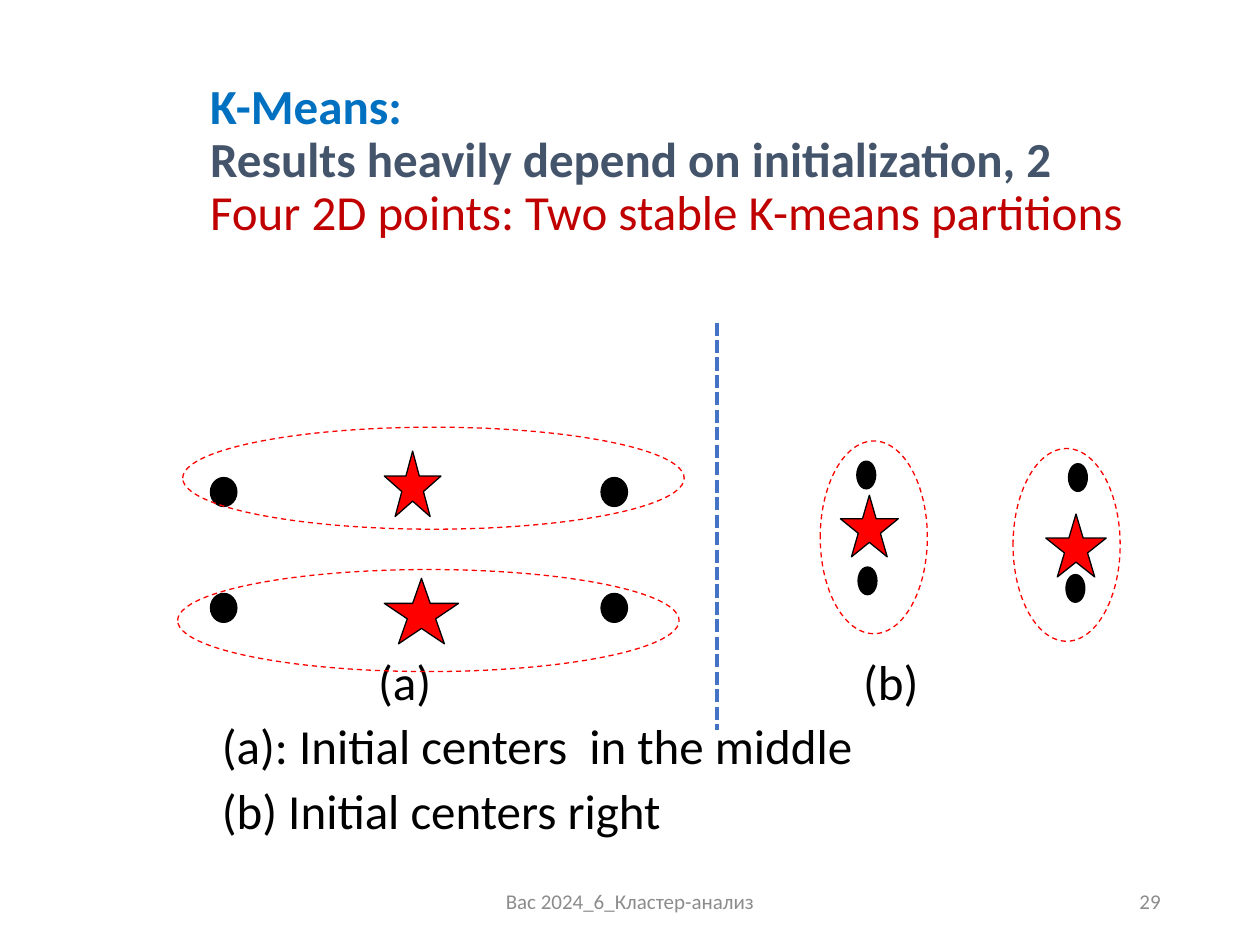
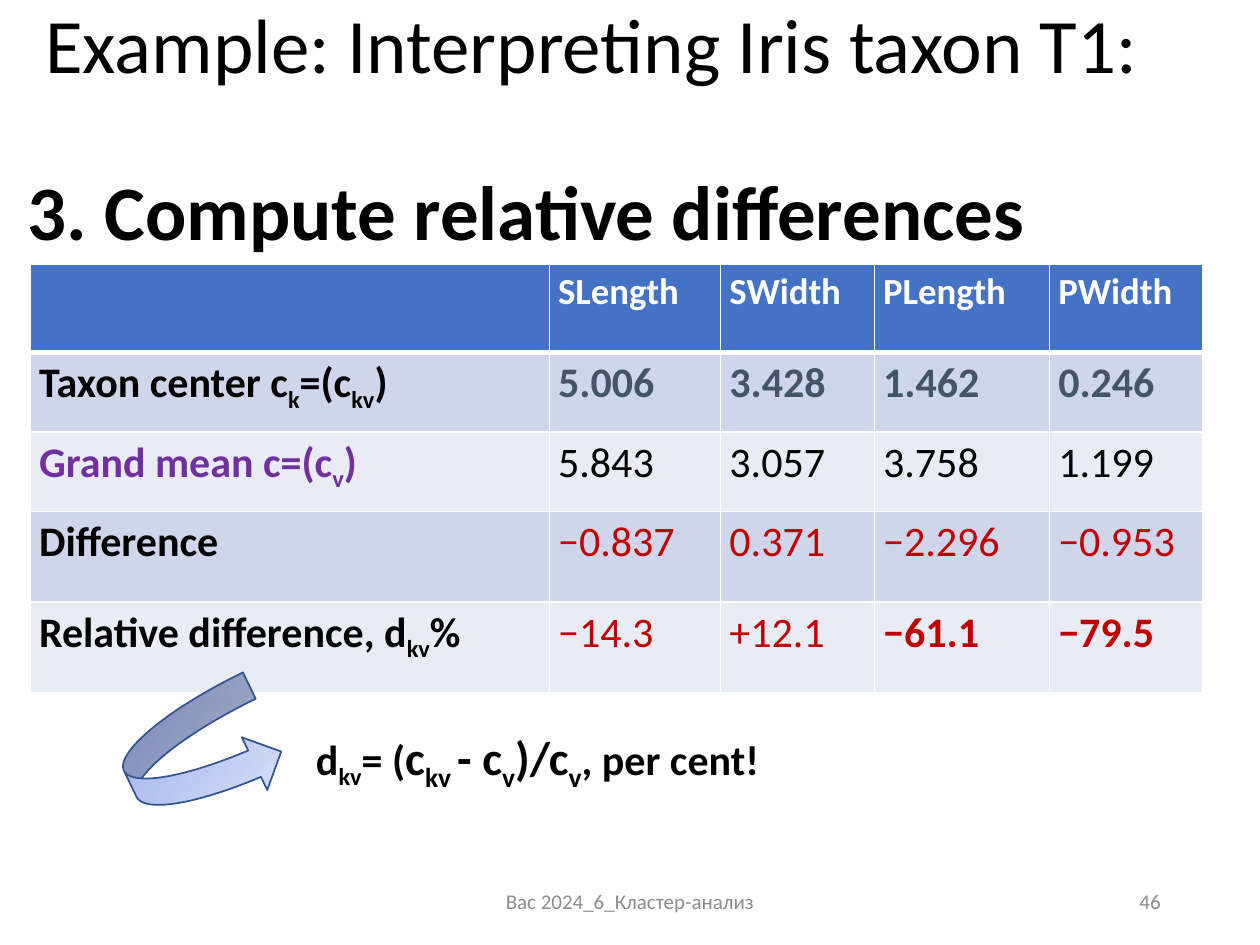
from dataclasses import dataclass

from lxml import etree
from pptx import Presentation
from pptx.dml.color import RGBColor
from pptx.enum.dml import MSO_LINE
from pptx.enum.shapes import MSO_CONNECTOR, MSO_SHAPE
from pptx.enum.text import MSO_ANCHOR, PP_ALIGN
from pptx.oxml.ns import qn
from pptx.util import Inches, Pt

ELLIPSE, STAR = MSO_SHAPE.OVAL, MSO_SHAPE.STAR_5_POINT
CURVED_ARROW = MSO_SHAPE.CURVED_RIGHT_ARROW
STRAIGHT = MSO_CONNECTOR.STRAIGHT
DASH, SHORT_DASH = MSO_LINE.DASH, MSO_LINE.SQUARE_DOT
TOP, MIDDLE = MSO_ANCHOR.TOP, MSO_ANCHOR.MIDDLE
LEFT, CENTER, RIGHT = PP_ALIGN.LEFT, PP_ALIGN.CENTER, PP_ALIGN.RIGHT

BLACK = RGBColor(0x00, 0x00, 0x00)
WHITE = RGBColor(0xFF, 0xFF, 0xFF)
GREY = RGBColor(0x8C, 0x8C, 0x8C)
SLATE = RGBColor(0x44, 0x54, 0x6A)
BRIGHT_BLUE = RGBColor(0x00, 0x70, 0xC0)
BLUE = RGBColor(0x44, 0x72, 0xC4)
DARK_BLUE = RGBColor(0x32, 0x54, 0x91)
ARROW_START = RGBColor(0x96, 0xAB, 0xEA)
ARROW_END = RGBColor(0xE0, 0xE5, 0xF7)
BAND_DARK = RGBColor(0xCF, 0xD5, 0xEA)
BAND_LIGHT = RGBColor(0xE9, 0xEB, 0xF5)
RED = RGBColor(0xFF, 0x00, 0x00)
DARK_RED = RGBColor(0xC0, 0x00, 0x00)
PURPLE = RGBColor(0x70, 0x30, 0xA0)

FONT = "Calibri"
FOOTER = "Bac 2024_6_Кластер-анализ"
COLUMNS, ROWS = 100, 75


@dataclass
class Line:
    """One paragraph; in its text, parts between bars are subscripts."""
    text: str
    size: float
    color: RGBColor = BLACK
    bold: bool = False
    before: float = 0
    indent: float = 0
    tabs: tuple = ()


class Deck:
    def __init__(self):
        self.presentation = Presentation()
        self.presentation.slide_width = Inches(10)
        self.presentation.slide_height = Inches(7.5)
        self.slide = None

    def x(self, columns):
        return round(self.presentation.slide_width * columns / COLUMNS)

    def y(self, rows):
        return round(self.presentation.slide_height * rows / ROWS)

    def box(self, left, top, width, height):
        return self.x(left), self.y(top), self.x(width), self.y(height)

    def new_slide(self, number):
        """Start a slide with its footer and number."""
        self.slide = self.presentation.slides.add_slide(self.presentation.slide_layouts[6])
        self.text((33.1, 69.5, 33.8, 4), [Line(FOOTER, 12, GREY)], anchor=MIDDLE, align=CENTER)
        self.text((70.6, 69.5, 22.5, 4), [Line(number, 12, GREY)], anchor=MIDDLE, align=RIGHT)

    def add_runs(self, paragraph, text, size=None):
        for index, part in enumerate(text.split("|")):
            if part:
                run = paragraph.add_run()
                run.text = part
                if size:
                    run.font.size = Pt(size)
                if index % 2:
                    run.font._element.set("baseline", "-25000")

    def style(self, paragraph, line):
        properties = paragraph._p.get_or_add_pPr()
        if line.indent:
            properties.set("marL", "0")
            properties.set("indent", str(self.x(line.indent)))
        if line.tabs:
            tab_list = etree.SubElement(properties, qn("a:tabLst"))
            for stop in line.tabs:
                etree.SubElement(tab_list, qn("a:tab"), pos=str(self.x(stop)), algn="l")
        font = paragraph.font
        font.name, font.size, font.bold = FONT, Pt(line.size), line.bold
        font.color.rgb = line.color
        paragraph.space_before = Pt(line.before)

    def text(self, place, lines, anchor=TOP, align=LEFT, spacing=1.0, inset=1):
        frame = self.slide.shapes.add_textbox(*self.box(*place)).text_frame
        frame.word_wrap = True
        frame.vertical_anchor = anchor
        frame.margin_left = self.x(inset)
        for index, line in enumerate(lines):
            paragraph = frame.add_paragraph() if index else frame.paragraphs[0]
            self.style(paragraph, line)
            paragraph.alignment = align
            paragraph.line_spacing = spacing
            self.add_runs(paragraph, line.text)
        return frame

    def title(self, place, lines):
        self.text(place, lines, anchor=MIDDLE, spacing=0.9)

    def shape(self, kind, place, fill=None, line=BLACK, weight=0.75, dash=None):
        shape = self.slide.shapes.add_shape(kind, *self.box(*place))
        shape.shadow.inherit = False
        if fill is None:
            shape.fill.background()
        else:
            shape.fill.solid()
            shape.fill.fore_color.rgb = fill
        shape.line.color.rgb = line
        shape.line.width = Pt(weight)
        if dash:
            shape.line.dash_style = dash
        return shape

    def clusters(self, points, stars, outlines):
        """Draw data points, their centers and the dashed cluster outlines."""
        for place in points:
            self.shape(ELLIPSE, place, BLACK)
        for place in stars:
            self.shape(STAR, place, RED)
        for place in outlines:
            self.shape(ELLIPSE, place, line=RED, dash=DASH)

    def divider(self, column, top, bottom):
        line = self.slide.shapes.add_connector(
            STRAIGHT, self.x(column), self.y(top), self.x(column), self.y(bottom))
        line.line.color.rgb = BLUE
        line.line.width = Pt(2.5)
        line.line.dash_style = SHORT_DASH
        etree.SubElement(line._element.spPr, qn("a:effectLst"))

    def gradient_arrow(self, place, rotation):
        arrow = self.shape(CURVED_ARROW, place, line=DARK_BLUE, weight=1)
        arrow.rotation = rotation
        arrow.fill.gradient()
        arrow.fill.gradient_angle = 300
        for stop, color in zip(arrow.fill.gradient_stops, (ARROW_START, ARROW_END)):
            stop.color.rgb = color

    def borders(self, cell, bottom):
        properties = cell._tc.get_or_add_tcPr()
        for side, weight in (("L", 1), ("R", 1), ("T", 1), ("B", bottom)):
            edge = etree.SubElement(properties, qn(f"a:ln{side}"), w=str(Pt(weight)))
            fill = etree.SubElement(edge, qn("a:solidFill"))
            etree.SubElement(fill, qn("a:srgbClr"), val=str(WHITE))

    def table(self, left, top, widths, heights, rows):
        table = self.slide.shapes.add_table(
            len(rows), len(widths), *self.box(left, top, sum(widths), sum(heights))).table
        for column, width in zip(table.columns, widths):
            column.width = self.x(width)
        for row, height in zip(table.rows, heights):
            row.height = self.y(height)
        for row_index, lines in enumerate(rows):
            band = BAND_DARK if row_index % 2 else BAND_LIGHT
            for column_index, line in enumerate(lines):
                cell = table.cell(row_index, column_index)
                self.borders(cell, 1 if row_index else 3)
                cell.fill.solid()
                cell.fill.fore_color.rgb = band if row_index else BLUE
                cell.margin_left = cell.margin_right = self.x(0.7)
                cell.margin_top = cell.margin_bottom = self.y(0.4)
                paragraph = cell.text_frame.paragraphs[0]
                self.style(paragraph, line)
                self.add_runs(paragraph, line.text)


def initialization_slide(deck):
    deck.new_slide("29")
    deck.title((15.7, 3, 82, 19.7), [
        Line("K-Means:", 28, BRIGHT_BLUE, True),
        Line("Results heavily depend on initialization, 2", 28, SLATE, True),
        Line("Four 2D points: Two stable K-means partitions", 28, DARK_RED),
    ])
    deck.text((15.7, 52.1, 72.1, 15.5), [
        Line("\t(a)\t(b)", 28, tabs=(12.4, 50.9)),
        Line("(a): Initial centers  in the middle", 28, before=10),
        Line("(b) Initial centers right", 28, before=10),
    ], spacing=0.8, inset=1.9)
    deck.clusters(
        points=[(left, top, 2.1, 2.3) for left in (16.7, 47.7) for top in (37.9, 47.1)],
        stars=[(30.5, 35.8, 4.5, 5.2), (30.5, 45.9, 5.9, 5.2)],
        outlines=[(14.5, 33.9, 39.8, 8.1), (14.1, 45.2, 39.8, 8.1)])
    deck.clusters(
        points=[(left, top, 1.5, 2.2) for left, top in
                ((68, 36.6), (68.1, 45), (84.8, 36.8), (84.6, 45.6))],
        stars=[(66.7, 39.3, 4.6, 4.9), (83, 40.8, 4.8, 5)],
        outlines=[(65.1, 35, 8.5, 15.3), (80.4, 35.6, 8.5, 15.3)])
    deck.divider(56.9, 25.6, 57.9)


def relative_differences_slide(deck):
    deck.new_slide("46")
    deck.title((1.2, 2.2, 91.1, 16.6), [
        Line("Example: Interpreting Iris taxon T1:", 44, indent=1.4),
        Line("3. Compute relative differences", 44, bold=True, before=48),
    ])

    def row(label, values, color, label_color=BLACK, bold_from=4, size=24):
        """Bold label, then values that are bold from the given index on."""
        return [Line(label, size, label_color, True)] + [
            Line(value, size, color, index >= bold_from)
            for index, value in enumerate(values.split())]

    deck.table(2.4, 21, (41.2, 13.6, 12.2, 13.9, 12.2), (7, 6.3, 6.3, 7.2, 7.2), [
        row("", "SLength SWidth PLength PWidth", WHITE, bold_from=0, size=21),
        row("Taxon center c|k|=(c|kv|)", "5.006 3.428 1.462 0.246", SLATE, bold_from=0),
        row("Grand mean c=(c|v|)", "5.843 3.057 3.758 1.199", BLACK, PURPLE),
        row("Difference", "−0.837 0.371 −2.296 −0.953", DARK_RED),
        row("Relative difference, d|kv|%", "−14.3 +12.1 −61.1 −79.5", DARK_RED, bold_from=2),
    ])
    formula = deck.text((24.1, 57.3, 52, 5.6), [Line("d|kv|= (", 24, bold=True)])
    deck.add_runs(formula.paragraphs[0], "c|kv |- c|v|)/c|v|", 27)
    deck.add_runs(formula.paragraphs[0], ", per cent!", 24)
    deck.gradient_arrow((10, 55.5, 11.9, 9.3), 334.2)


def main():
    deck = Deck()
    initialization_slide(deck)
    relative_differences_slide(deck)
    deck.presentation.save("out.pptx")


if __name__ == "__main__":
    main()
